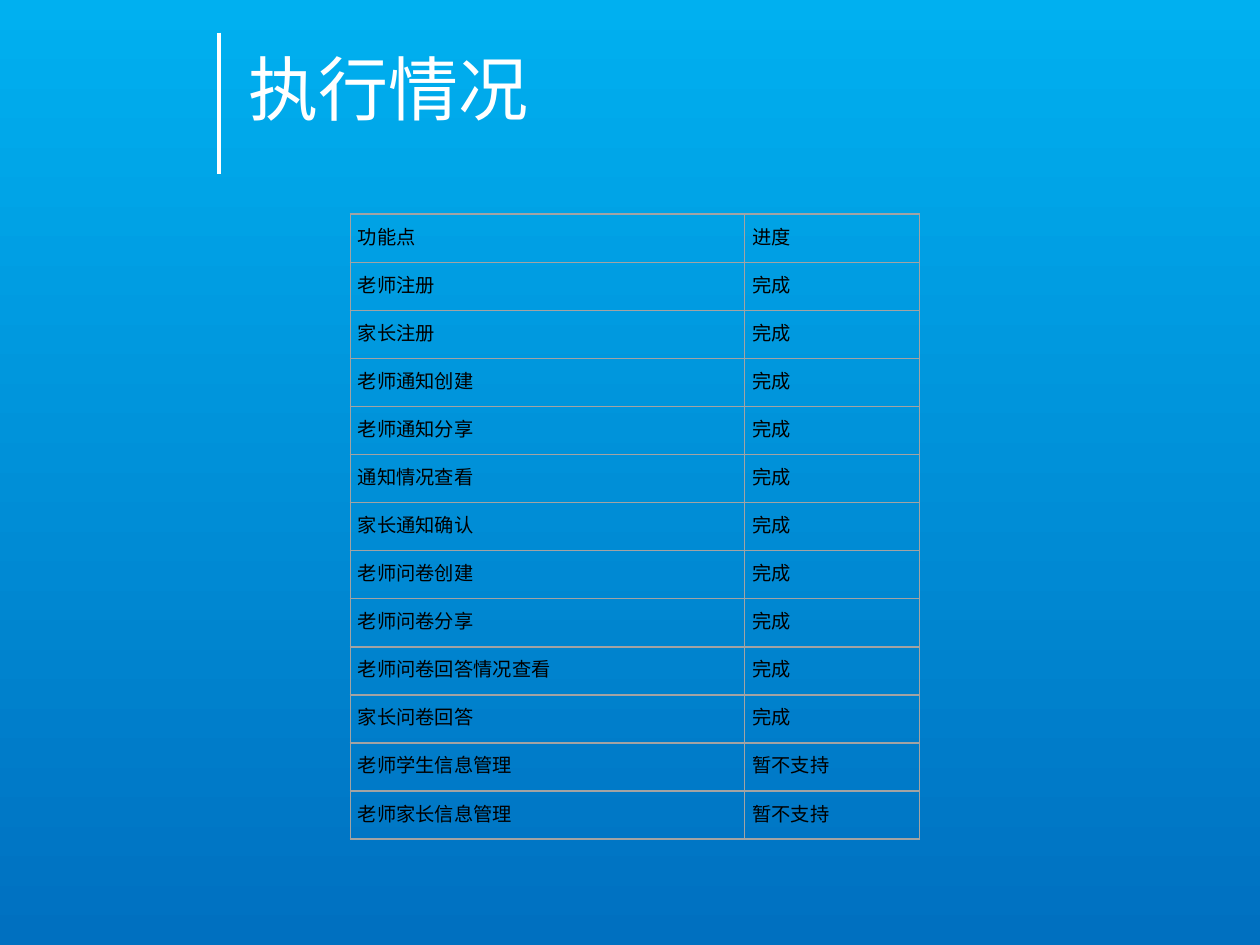
from lxml import etree
from pptx import Presentation
from pptx.dml.color import RGBColor
from pptx.enum.shapes import MSO_CONNECTOR
from pptx.enum.text import MSO_ANCHOR, PP_ALIGN
from pptx.oxml.ns import qn
from pptx.util import Inches, Pt

STRAIGHT = MSO_CONNECTOR.STRAIGHT
MIDDLE = MSO_ANCHOR.MIDDLE
LEFT = PP_ALIGN.LEFT

WHITE = RGBColor(0xFF, 0xFF, 0xFF)
BLACK = RGBColor(0x00, 0x00, 0x00)
SKY_BLUE = RGBColor(0x00, 0xB0, 0xF0)
DEEP_BLUE = RGBColor(0x00, 0x70, 0xC0)
BORDER_GRAY = RGBColor(0xA3, 0xA3, 0xA3)

TITLE_FONT = "Calibri"
TABLE_FONT = "Noto Sans CJK SC"

ROWS = [
    ("功能点", "进度"),
    ("老师注册", "完成"),
    ("家长注册", "完成"),
    ("老师通知创建", "完成"),
    ("老师通知分享", "完成"),
    ("通知情况查看", "完成"),
    ("家长通知确认", "完成"),
    ("老师问卷创建", "完成"),
    ("老师问卷分享", "完成"),
    ("老师问卷回答情况查看", "完成"),
    ("家长问卷回答", "完成"),
    ("老师学生信息管理", "暂不支持"),
    ("老师家长信息管理", "暂不支持"),
]
COLUMN_WIDTHS = [3.13, 1.39]


def add_borders(cell, color, width):
    properties = cell._tc.get_or_add_tcPr()
    for position, side in enumerate(("lnL", "lnR", "lnT", "lnB")):
        border = etree.Element(qn(f"a:{side}"), w=str(width))
        fill = etree.SubElement(border, qn("a:solidFill"))
        etree.SubElement(fill, qn("a:srgbClr"), val=str(color))
        properties.insert(position, border)


presentation = Presentation()
presentation.slide_width = Inches(10)
presentation.slide_height = Inches(7.5)
slide = presentation.slides.add_slide(presentation.slide_layouts[5])

# Background, light at the top
background = slide.background.fill
background.gradient()
background.gradient_angle = 270
for stop, color in zip(background.gradient_stops, (SKY_BLUE, DEEP_BLUE)):
    stop.color.rgb = color
for stop, position in zip(background.gradient_stops, (0, 1)):
    stop.position = position

# Title with the rule on its left
rule = slide.shapes.add_connector(
    STRAIGHT, Inches(1.74), Inches(0.26), Inches(1.74), Inches(1.38))
rule.line.color.rgb = WHITE
rule.line.width = Pt(2.25)
etree.SubElement(rule._element.spPr, qn("a:effectLst"))

title = slide.shapes.title
title.left, title.top = Inches(1.87), Inches(0.01)
title.width, title.height = Inches(7.44), Inches(1.46)
title.text_frame.text = "执行情况"
title.text_frame.vertical_anchor = MIDDLE
paragraph = title.text_frame.paragraphs[0]
paragraph.alignment = LEFT
paragraph.line_spacing = 0.9
title_font = paragraph.runs[0].font
title_font.name = TITLE_FONT
title_font.size = Pt(40)
title_font.color.rgb = WHITE

# Progress table
table = slide.shapes.add_table(
    len(ROWS), len(COLUMN_WIDTHS),
    Inches(2.78), Inches(1.7), Inches(4.52), Inches(4.96)).table
table.first_row = False
table.horz_banding = False
for column, width in zip(table.columns, COLUMN_WIDTHS):
    column.width = Inches(width)

for row, texts in zip(table.rows, ROWS):
    for cell, text in zip(row.cells, texts):
        cell.text_frame.text = text
        cell.margin_left = cell.margin_right = Inches(0.06)
        cell.margin_top = cell.margin_bottom = Inches(0.06)
        cell.fill.background()
        add_borders(cell, BORDER_GRAY, Pt(1))
        run = cell.text_frame.paragraphs[0].runs[0]
        run.font.name = TABLE_FONT
        run.font.size = Pt(11)
        run.font.color.rgb = BLACK
        etree.SubElement(run.font._element, qn("a:ea"), typeface=TABLE_FONT)

presentation.save("out.pptx")
